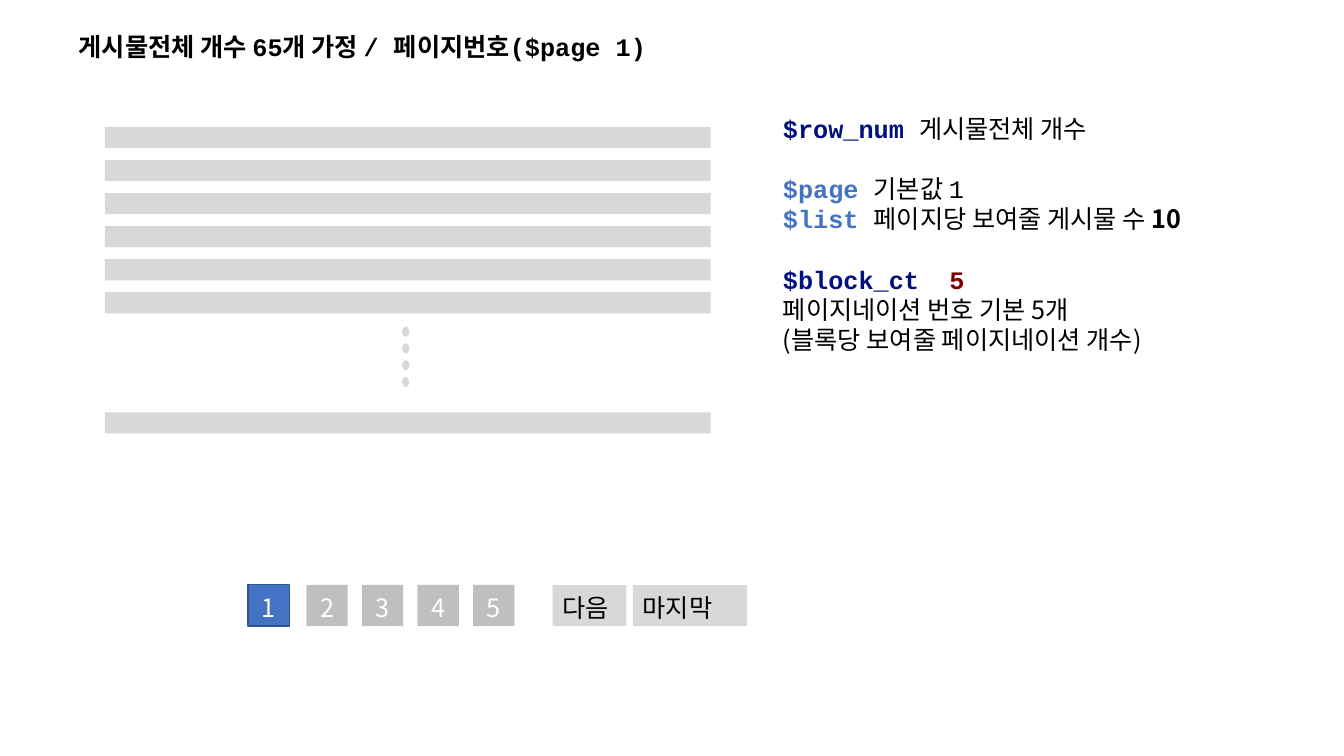
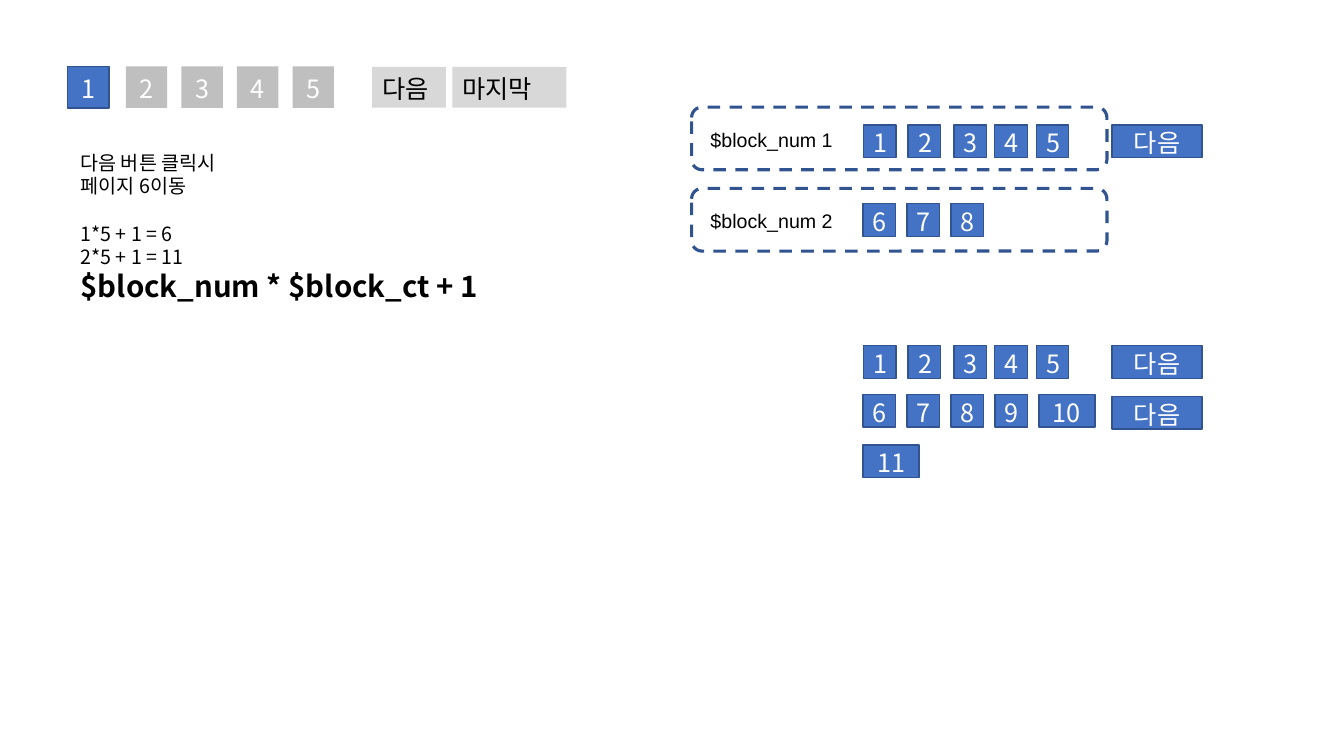
from lxml.etree import SubElement
from pptx import Presentation
from pptx.dml.color import RGBColor
from pptx.enum.dml import MSO_LINE
from pptx.enum.shapes import MSO_SHAPE
from pptx.enum.text import MSO_ANCHOR, MSO_AUTO_SIZE, PP_ALIGN
from pptx.oxml.ns import qn
from pptx.util import Pt

# Shared style
color = RGBColor.from_string
BLUE, EDGE, NAVY, MAROON = "4472C4", "31538F", "001080", "800000"
GRAY, PALE, BLACK, WHITE = "BFBFBF", "D8D8D8", "000000", "FFFFFF"
KOREAN, CODE, LABEL = "Noto Sans CJK KR", "Courier New", "Arial"
BODY = {"size": Pt(18), "name": KOREAN, "bold": False}
SMALL = {**BODY, "size": Pt(14)}


def write(frame, lines, anchor=MSO_ANCHOR.TOP, align=PP_ALIGN.LEFT):
    """Each line is (space before, spans); each span is (text, colour, format)."""
    frame.word_wrap = True
    frame.auto_size = MSO_AUTO_SIZE.NONE
    frame.vertical_anchor = anchor
    for index, (gap, spans) in enumerate(lines):
        para = frame.add_paragraph() if index else frame.paragraphs[0]
        para.alignment = align
        para.space_before = Pt(gap)
        para.line_spacing = Pt(max(span[2]["size"].pt for span in spans) * 1.2)
        for text, ink, style in spans:
            span = para.add_run()
            span.text = text
            span.font.color.rgb = color(ink)
            for key, value in style.items():
                setattr(span.font, key, value)
            SubElement(span.font._element, qn("a:ea"), typeface=KOREAN)


def add_block(page, left, top, width, height, fill=None, edge=None, text="",
              ink=WHITE, align=PP_ALIGN.CENTER, kind=MSO_SHAPE.RECTANGLE):
    box = page.shapes.add_shape(kind, Pt(left), Pt(top), Pt(width), Pt(height))
    box.shadow.inherit = False
    if fill:
        box.fill.solid()
        box.fill.fore_color.rgb = color(fill)
    else:
        box.fill.background()
    if edge:
        box.line.color.rgb = color(edge)
        box.line.width = Pt(1)
    else:
        box.line.fill.background()
    if text:
        write(box.text_frame, [(0, [(text, ink, BODY)])], MSO_ANCHOR.MIDDLE, align)
        box.text_frame.margin_top = Pt(5.6)
    return box


deck = Presentation()
deck.slide_width, deck.slide_height = Pt(960), Pt(540)
list_page = deck.slides.add_slide(deck.slide_layouts[5])
block_page = deck.slides.add_slide(deck.slide_layouts[6])

# Pager on both slides
for page, left, top in ((list_page, 177.1, 417.7), (block_page, 48.2, 47.5)):
    add_block(page, left, top, 29.6, 29.6, BLUE, EDGE, "1")
    for step in range(4):
        add_block(page, left + 41.7 + 39.7 * step, top, 29.6, 29.6, GRAY, text=str(step + 2))
    for text, offset, width in (("다음", 217.6, 52.7), ("마지막", 275, 81.4)):
        add_block(page, left + offset, top + 0.3, width, 29.1, PALE,
                  text=text, ink=BLACK, align=PP_ALIGN.LEFT)

# Slide 1: title
title = list_page.shapes.title
title.left, title.top, title.width, title.height = Pt(49), Pt(18.7), Pt(510.5), Pt(29)
heading = {**BODY, "name": CODE, "bold": True}
write(title.text_frame, [(0, [("게시물전체 개수 65개 가정 / 페이지번호($page 1)", BLACK, heading)])],
      MSO_ANCHOR.MIDDLE)

# Slide 1: list of posts
for top in [90.7 + 23.6 * row for row in range(6)] + [294.5]:
    add_block(list_page, 74.9, top, 432.7, 15.1, PALE)
for dot in range(4):
    add_block(list_page, 287.3, 233.3 + 12 * dot, 5, 7.2, PALE, kind=MSO_SHAPE.OVAL)

# Slide 1: variables
code = {**BODY, "name": CODE}
strong_code = {**code, "bold": True}
variables = list_page.shapes.add_textbox(Pt(552.2), Pt(77.2), Pt(332.6), Pt(203.8))
write(variables.text_frame, [
    (0, [("$row_num ", NAVY, strong_code), ("게시물전체 개수", BLACK, code)]),
    (21.6, [("$page ", BLUE, strong_code), ("기본값 1", BLACK, code)]),
    (0, [("$list ", BLUE, strong_code), ("페이지당 보여줄 게시물 수 ", BLACK, BODY),
         ("10", BLACK, {**BODY, "bold": True})]),
    (21.6, [("$block_ct", NAVY, strong_code), ("\t5", MAROON, strong_code)]),
    (0, [("페이지네이션 번호 기본 5개", BLACK, BODY)]),
    (0, [("(블록당 보여줄 페이지네이션 개수)", BLACK, BODY)]),
])
tabs = SubElement(variables.text_frame.paragraphs[3]._p.get_or_add_pPr(), qn("a:tabLst"))
SubElement(tabs, qn("a:tab"), pos=str(Pt(118.8)), algn="l")

# Slide 2: what the next button does
rule = {**BODY, "size": Pt(21), "bold": True}
steps = block_page.shapes.add_textbox(Pt(50.4), Pt(104.2), Pt(455), Pt(124.6))
steps.text_frame.margin_top = Pt(3.6)
write(steps.text_frame, [
    (0, [("다음 버튼 클릭시", BLACK, SMALL)]),
    (0, [("페이지 6이동", BLACK, SMALL)]),
    (16.8, [("1*5 + 1 = 6", BLACK, SMALL)]),
    (0, [("2*5 + 1 = 11", BLACK, SMALL)]),
    (0, [("$block_num * $block_ct + 1", BLACK, rule)]),
])

# Slide 2: page numbers, block by block
first_columns = [617, 648.7, 681.5, 710.6, 740.2]
later_columns = [616.5 + 31.4 * column for column in range(5)]
for top, first, last, columns in ((89.2, 1, 5, first_columns), (145.6, 6, 8, later_columns),
                                  (247, 1, 5, first_columns), (282, 6, 10, later_columns),
                                  (318, 11, 11, later_columns)):
    for left, number in zip(columns, range(first, last + 1)):
        width = 23.2 if number < 10 else 40
        add_block(block_page, left, top, width, 23.2, BLUE, EDGE, str(number))
for top in (89.2, 247, 283.2):
    add_block(block_page, 794.3, top, 64.4, 23.2, BLUE, EDGE, "다음")

# Slide 2: dashed frames with their labels
for number, top in enumerate((76.5, 134.6), 1):
    frame = add_block(block_page, 494, top, 296.7, 44.8, edge=EDGE,
                      kind=MSO_SHAPE.ROUNDED_RECTANGLE)
    frame.line.width = Pt(2.25)
    frame.line.dash_style = MSO_LINE.DASH
    label = block_page.shapes.add_textbox(Pt(500.4), Pt(top + 11.2), Pt(110), Pt(24.2))
    write(label.text_frame, [(0, [(f"$block_num {number}", BLACK, {**SMALL, "name": LABEL})])],
          MSO_ANCHOR.MIDDLE)

deck.save("out.pptx")
